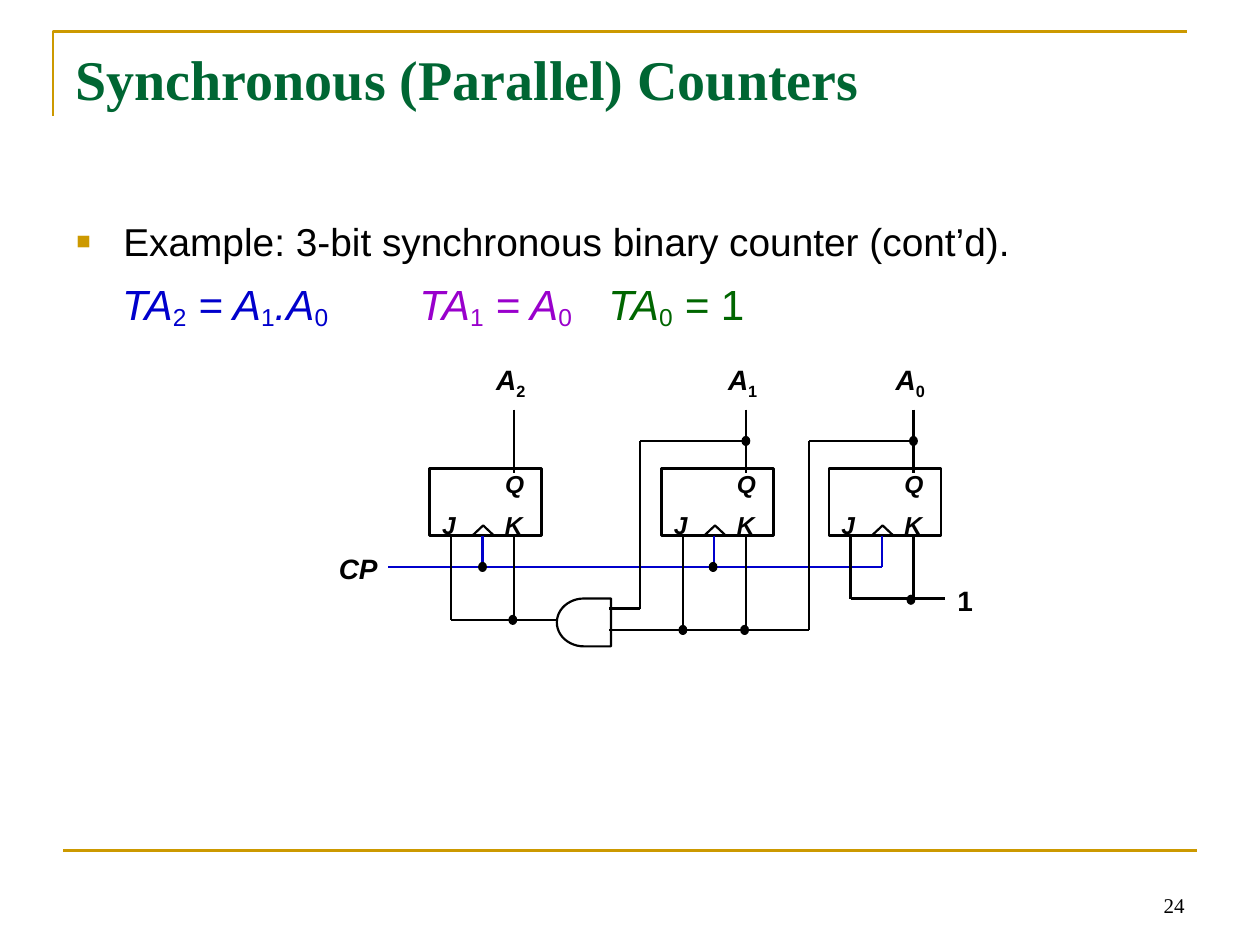
from lxml.etree import SubElement
from pptx import Presentation
from pptx.dml.color import RGBColor
from pptx.enum.shapes import MSO_CONNECTOR, MSO_SHAPE
from pptx.enum.text import MSO_ANCHOR, MSO_AUTO_SIZE, PP_ALIGN
from pptx.oxml.ns import qn
from pptx.util import Inches, Pt

BLACK, GOLD, GREEN = "000000", "CC9900", "006633"
BLUE, PURPLE, DARK_GREEN = "0000CC", "9900CC", "006600"
SANS, SERIF = "Arial", "Times New Roman"


def rgb(value):
    return RGBColor.from_string(value)


def add_bullet(p, char, color, percent):
    pPr = p._p.get_or_add_pPr()
    clr = SubElement(pPr, qn("a:buClr"))
    SubElement(clr, qn("a:srgbClr"), val=color)
    SubElement(pPr, qn("a:buSzPct"), val=str(percent * 1000))
    SubElement(pPr, qn("a:buFont"), typeface=SANS)
    SubElement(pPr, qn("a:buChar"), char=char)


def add_tabs(p, stops):
    tabs = SubElement(p._p.get_or_add_pPr(), qn("a:tabLst"))
    for stop in stops:
        SubElement(tabs, qn("a:tab"), pos=str(Inches(stop)), algn="l")


def set_indent(p, left, first):
    pPr = p._p.get_or_add_pPr()
    pPr.set("marL", str(Inches(left)))
    pPr.set("indent", str(Inches(first)))


class Drawing:
    """Holds the current slide and draws styled elements on it."""

    def __init__(self, slide):
        self.slide = slide
        self.shapes = slide.shapes

    def run(self, p, text, size, color=BLACK, font=SANS, bold=False, italic=False, base=0):
        """Append a run; base is the baseline shift in percent."""
        r = p.add_run()
        r.text = text
        r.font.size, r.font.name = Pt(size), font
        r.font.bold, r.font.italic = bold, italic
        r.font.color.rgb = rgb(color)
        if base:
            r._r.get_or_add_rPr().set("baseline", str(base * 1000))

    def title(self, text, x, y, w, h):
        sp = self.shapes.title
        sp.left, sp.top, sp.width, sp.height = map(Inches, (x, y, w, h))
        tf = sp.text_frame
        tf.auto_size = MSO_AUTO_SIZE.NONE
        tf.vertical_anchor = MSO_ANCHOR.TOP
        p = tf.paragraphs[0]
        p.alignment = PP_ALIGN.LEFT
        self.run(p, text, 32, GREEN, SERIF, bold=True)

    def box(self, x, y, w, h, wrap=True):
        tf = self.shapes.add_textbox(*map(Inches, (x, y, w, h))).text_frame
        tf.word_wrap = wrap
        tf.auto_size = MSO_AUTO_SIZE.NONE if wrap else MSO_AUTO_SIZE.SHAPE_TO_FIT_TEXT
        return tf

    def label(self, text, x, y, w, h, size=16, italic=True, sub=""):
        p = self.box(x, y, w, h, wrap=False).paragraphs[0]
        self.run(p, text, size, bold=True, italic=italic)
        if sub:
            self.run(p, sub, size, bold=True, base=-25)

    def line(self, x1, y1, x2, y2, color=BLACK, width=1.25):
        c = self.shapes.add_connector(MSO_CONNECTOR.STRAIGHT, *map(Inches, (x1, y1, x2, y2)))
        c.line.color.rgb = rgb(color)
        c.line.width = Pt(width)
        SubElement(c._element.spPr, qn("a:effectLst"))

    def wire(self, *points, color=BLACK):
        """Join the points with straight lines."""
        for start, end in zip(points, points[1:]):
            self.line(*start, *end, color=color)

    def outline(self, sp, color, width, fill=None):
        sp.shadow.inherit = False
        if fill:
            sp.fill.solid()
            sp.fill.fore_color.rgb = rgb(fill)
        else:
            sp.fill.background()
        sp.line.color.rgb = rgb(color)
        sp.line.width = Pt(width)

    def shape(self, kind, x, y, w, h, width=1.25, fill=None):
        sp = self.shapes.add_shape(kind, *map(Inches, (x, y, w, h)))
        self.outline(sp, BLACK, width, fill)
        return sp

    def dot(self, x, y):
        """Mark a junction centred on x, y."""
        self.shape(MSO_SHAPE.OVAL, x - 0.03, y - 0.035, 0.06, 0.07, 0.75, BLACK)

    def corner(self, points, color, width):
        start, *rest = [(Inches(x), Inches(y)) for x, y in points]
        builder = self.shapes.build_freeform(*start)
        builder.add_line_segments(rest, close=False)
        self.outline(builder.convert_to_shape(), color, width)

    def flip_flop(self, x, index):
        """Draw a JK flip-flop whose J wire is at x."""
        self.shape(MSO_SHAPE.RECTANGLE, x - 0.17, 3.72, 0.89, 0.53, 1.5)
        self.shape(MSO_SHAPE.ISOSCELES_TRIANGLE, x + 0.17, 4.17, 0.17, 0.08)
        self.label("J", x - 0.17, 4, 0.31, 0.34, 14)
        self.label("K", x + 0.33, 4, 0.34, 0.34, 14)
        self.label("Q", x + 0.33, 3.67, 0.35, 0.34, 14)
        self.label("A", x + 0.26, 2.83, 0.43, 0.41, sub=index)
        self.line(x + 0.5, 3.25, x + 0.5, 3.75)
        self.line(x + 0.25, 4.25, x + 0.25, 4.5, BLUE)


def draw_text(d):
    d.title("Synchronous (Parallel) Counters", 0.5, 0.3, 9, 1.25)

    tf = d.box(0.5, 1.75, 8.82, 0.92)
    p = tf.paragraphs[0]
    set_indent(p, 0.38, -0.38)
    add_bullet(p, "▪", GOLD, 120)
    p.line_spacing = 0.8
    d.run(p, "Example: 3-bit synchronous binary counter (cont’d).", 22.2)

    p = tf.add_paragraph()
    set_indent(p, 0.73, -0.36)
    add_tabs(p, range(8))
    p.line_spacing, p.space_before = 0.8, Pt(13)
    equations = [
        (BLUE, ["TA", "2", " = A", "1", ".A", "0\t\t"]),
        (PURPLE, ["TA", "1", " = A", "0\t"]),
        (DARK_GREEN, ["TA", "0", " = "]),
    ]
    for color, parts in equations:
        for i, text in enumerate(parts):
            is_sub = i % 2 == 1
            d.run(p, text, 24.1, color, italic=not is_sub, base=-14 if is_sub else 0)
    d.run(p, "1", 24.1, DARK_GREEN)

    tf = d.box(7.17, 6.83, 2.33, 0.5)
    tf.vertical_anchor = MSO_ANCHOR.BOTTOM
    p = tf.paragraphs[0]
    p.alignment = PP_ALIGN.RIGHT
    d.run(p, "24", 12, font=SERIF)


def draw_circuit(d):
    for x, index in [(3.58, "2"), (5.42, "1"), (6.75, "0")]:
        d.flip_flop(x, index)

    gate = d.shape(MSO_SHAPE.FLOWCHART_DELAY, 4.42, 4.75, 0.43, 0.38)
    gate._element.spPr.find(qn("a:xfrm")).set("flipH", "1")

    d.wire((3.08, 4.5), (7, 4.5), color=BLUE)
    d.wire((3.58, 4.25), (3.58, 4.92), (4.42, 4.92))
    d.wire((4.08, 4.25), (4.08, 4.92))
    d.wire((5.92, 3.5), (5.08, 3.5), (5.08, 4.83), (4.83, 4.83))
    d.wire((7.25, 3.5), (6.42, 3.5), (6.42, 5), (4.83, 5))
    d.wire((5.42, 4.25), (5.42, 5))
    d.wire((5.92, 4.25), (5.92, 5))
    d.wire((6.75, 4.25), (6.75, 4.75), (7.5, 4.75))
    d.wire((7.25, 4.25), (7.25, 4.75))

    junctions = [(7.25, 3.5), (5.92, 3.5), (5.91, 5), (5.66, 4.5),
                 (3.83, 4.5), (4.07, 4.92), (5.42, 5), (7.23, 4.76)]
    for x, y in junctions:
        d.dot(x, y)

    d.label("CP", 2.59, 4.33, 0.51, 0.37)
    d.label("1", 7.5, 4.58, 0.32, 0.37, italic=False)


def main():
    prs = Presentation()
    prs.slide_width, prs.slide_height = Inches(10), Inches(7.5)
    s = prs.slides.add_slide(prs.slide_layouts[5])
    d = Drawing(s)
    d.corner([(0.42, 0.92), (0.42, 0.25), (9.42, 0.25)], GOLD, 1.5)
    d.line(0.5, 6.75, 9.5, 6.75, GOLD, 1.5)
    draw_text(d)
    draw_circuit(d)
    prs.save("out.pptx")


if __name__ == "__main__":
    main()
